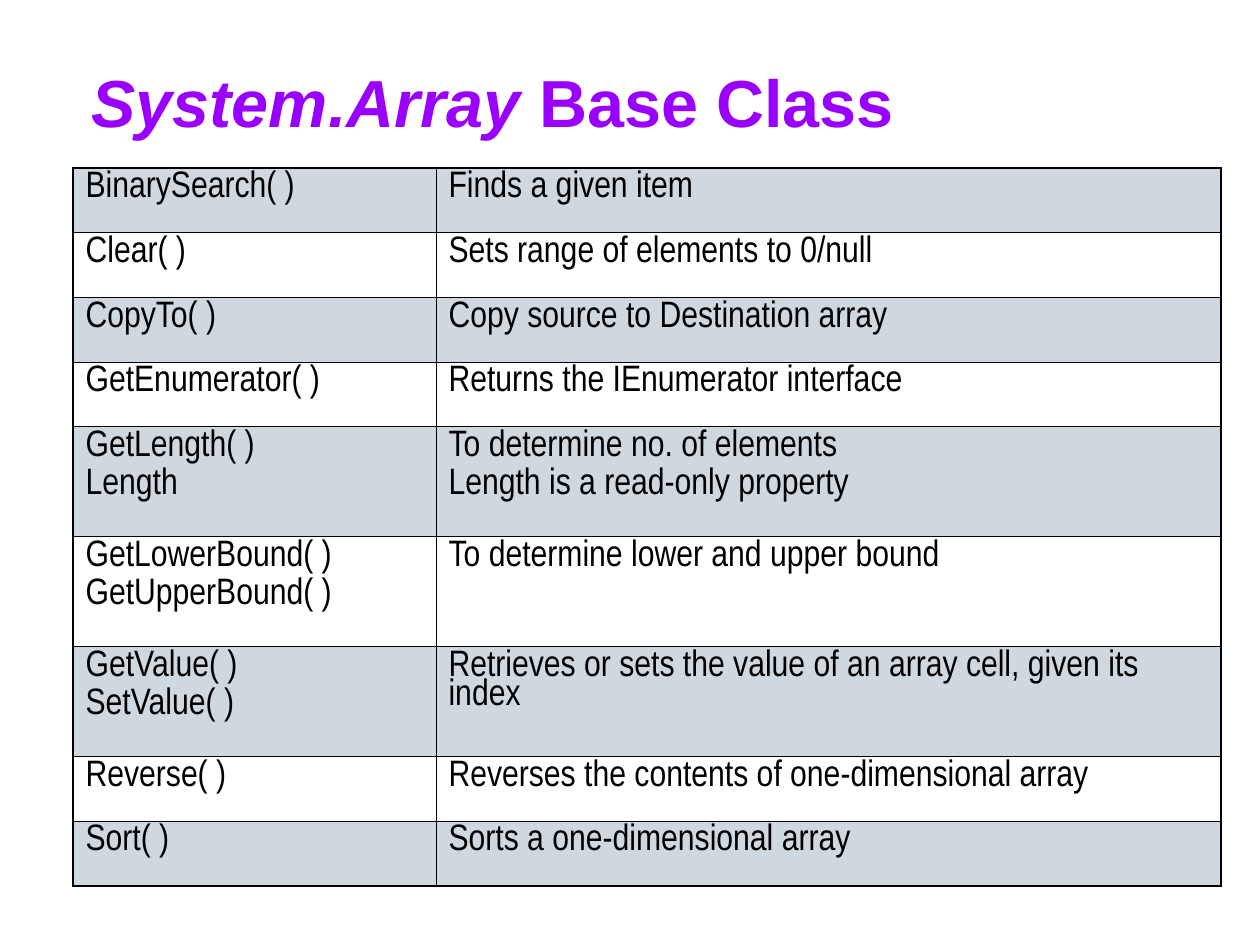
from lxml import etree
from pptx import Presentation
from pptx.dml.color import RGBColor
from pptx.enum.text import MSO_ANCHOR
from pptx.oxml.ns import qn
from pptx.util import Emu, Pt

BOTTOM = MSO_ANCHOR.BOTTOM
EMU_PER_PX = 914400 / 126
COLORS = {"title": "9900FF", "text": "000000", "border": "000000", "band": "A3B2C1"}
THIN, THICK = 0.45, 1.08
METHODS = [
    (["BinarySearch( )"], ["Finds a given item"]),
    (["Clear( )"], ["Sets range of elements to 0/null"]),
    (["CopyTo( )"], ["Copy source to Destination array"]),
    (["GetEnumerator( )"], ["Returns the IEnumerator interface"]),
    (["GetLength( )", "Length"],
     ["To determine no. of elements", "Length is a read-only property"]),
    (["GetLowerBound( )", "GetUpperBound( )"], ["To determine lower and upper bound"]),
    (["GetValue( )", "SetValue( )"],
     ["Retrieves or sets the value of an array cell, given its index"]),
    (["Reverse( )"], ["Reverses the contents of one-dimensional array"]),
    (["Sort( )"], ["Sorts a one-dimensional array"]),
]


def px(n):
    return Emu(round(n * EMU_PER_PX))


def add_run(p, text, font, size, color, bold=False, italic=False):
    r = p.add_run()
    r.text = text
    r.font.name = font
    r.font.size = Pt(size)
    r.font.bold = bold
    r.font.italic = italic
    r.font.color.rgb = RGBColor.from_string(COLORS[color])


def add_title(slide, x, y, w, h):
    tf = slide.shapes.add_textbox(px(x), px(y), px(w), px(h)).text_frame
    tf.word_wrap = True
    tf.vertical_anchor = BOTTOM
    p = tf.paragraphs[0]
    add_run(p, "System.Array", "Arial", 38, "title", True, True)
    add_run(p, " Base Class", "Arial", 38, "title", True)


def set_borders(cell, widths):
    tc_pr = cell._tc.get_or_add_tcPr()
    for i, (side, width) in enumerate(widths.items()):
        ln = etree.Element(qn(f"a:{side}"), w=str(Pt(width)))
        fill = etree.SubElement(ln, qn("a:solidFill"))
        etree.SubElement(fill, qn("a:srgbClr"), val=COLORS["border"])
        tc_pr.insert(i, ln)


def fill_cell(cell, banded):
    if not banded:
        cell.fill.background()
        return
    cell.fill.solid()
    cell.fill.fore_color.rgb = RGBColor.from_string(COLORS["band"])
    color = cell._tc.tcPr.find(".//" + qn("a:srgbClr"))
    etree.SubElement(color, qn("a:alpha"), val="50000")


def write_cell(cell, lines):
    tf = cell.text_frame
    for i, line in enumerate(lines):
        p = tf.add_paragraph() if i else tf.paragraphs[0]
        p.line_spacing = 0.85
        p.space_before = Pt(5.2 if i else 0)
        add_run(p, line, "Arial Narrow", 21, "text")


def add_method_table(slide, x, y, w, h):
    n_rows, name_w, tall_h = len(METHODS), 363, 110
    is_tall = [len(names) > 1 for names, _ in METHODS]
    short_h = (h - tall_h * sum(is_tall)) / (n_rows - sum(is_tall))
    table = slide.shapes.add_table(n_rows, 2, px(x), px(y), px(w), px(h)).table
    table.first_row = table.horz_banding = False
    table.columns[0].width = px(name_w)
    table.columns[1].width = px(w - name_w)
    for i, row in enumerate(METHODS):
        table.rows[i].height = px(tall_h if is_tall[i] else short_h)
        for j, lines in enumerate(row):
            cell = table.cell(i, j)
            write_cell(cell, lines)
            fill_cell(cell, i % 2 == 0)
            set_borders(cell, {
                "lnL": THICK if j == 0 else THIN,
                "lnR": THICK if j == 1 else THIN,
                "lnT": THICK if i == 0 else THIN,
                "lnB": THICK if i == n_rows - 1 else THIN,
            })


def main():
    prs = Presentation()
    prs.slide_width, prs.slide_height = px(1260), px(945)
    slide = prs.slides.add_slide(prs.slide_layouts[6])
    add_title(slide, 79, 42, 1102, 105)
    add_method_table(slide, 73, 168, 1148, 718)
    prs.save("out.pptx")


if __name__ == "__main__":
    main()
